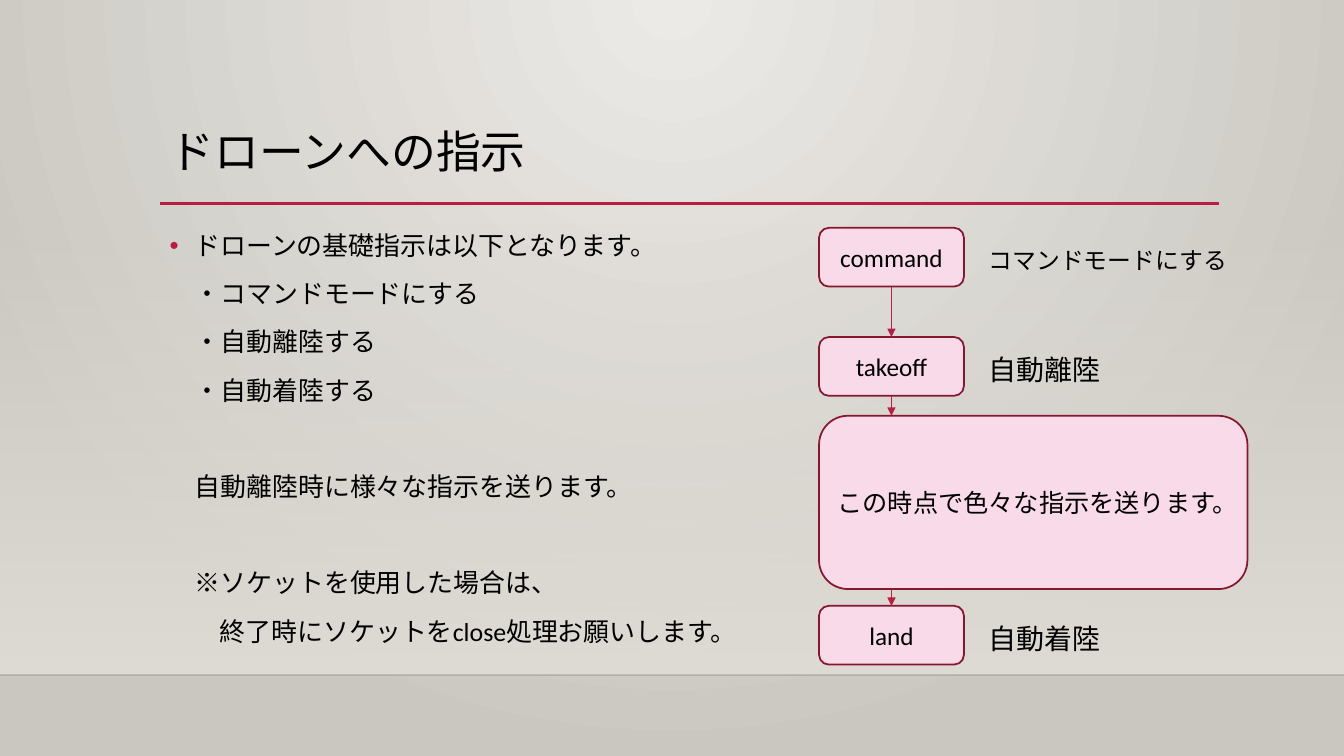
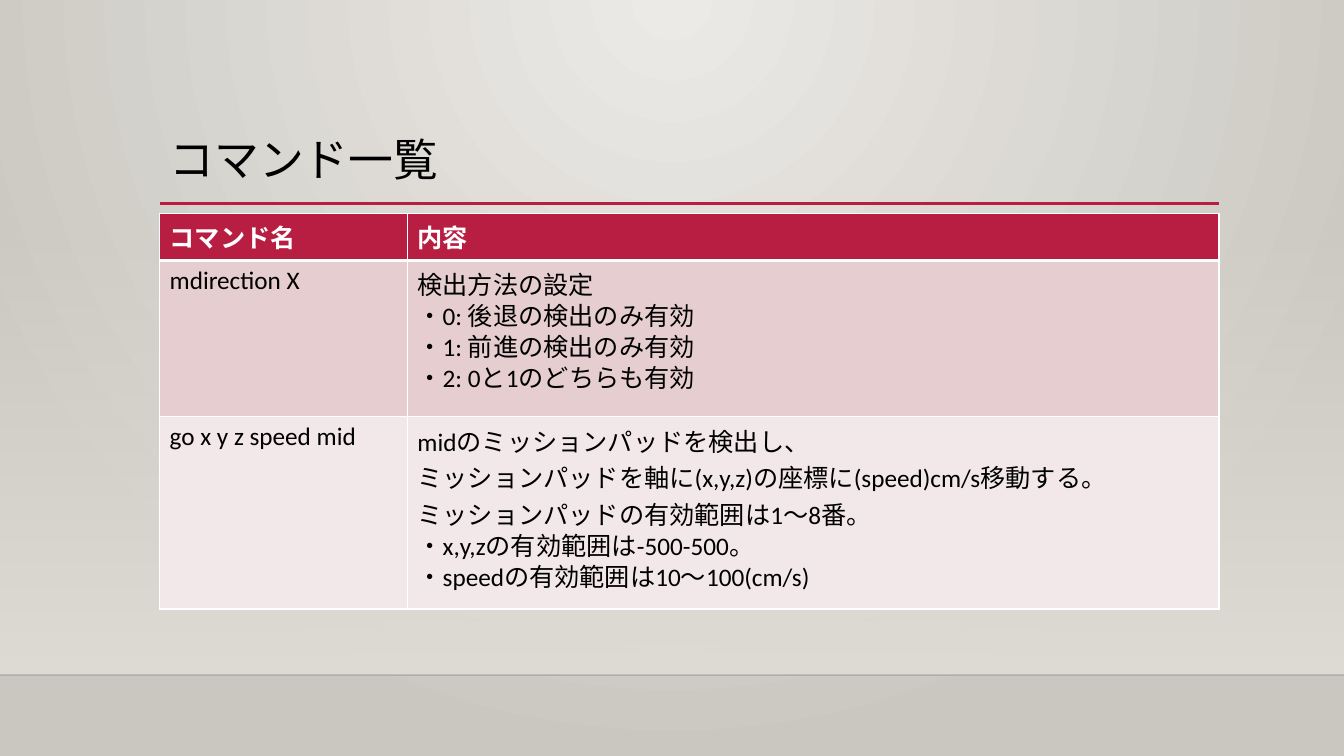
from itertools import pairwise

from lxml.etree import SubElement
from pptx import Presentation
from pptx.dml.color import RGBColor
from pptx.enum.shapes import MSO_CONNECTOR, MSO_SHAPE
from pptx.enum.text import MSO_ANCHOR, PP_ALIGN
from pptx.oxml.ns import qn
from pptx.util import Inches, Pt

FONT = "Calibri"
DOT = "・"
BLACK = RGBColor(0x00, 0x00, 0x00)
NEAR_BLACK = RGBColor(0x00, 0x00, 0x01)
WHITE = RGBColor(0xFF, 0xFF, 0xFF)
CRIMSON = RGBColor(0xB7, 0x1E, 0x42)
DARK_RED = RGBColor(0x87, 0x16, 0x31)
PINK = RGBColor(0xF8, 0xDA, 0xE8)
BG_CENTER = RGBColor(0xEC, 0xEA, 0xE7)
BG_EDGE = RGBColor(0xCA, 0xC7, 0xC1)
BAND = RGBColor(0xDF, 0xDB, 0xD5)
ROW_FILLS = [CRIMSON, RGBColor(0xE6, 0xCD, 0xCF), RGBColor(0xF3, 0xE8, 0xE9)]

prs = Presentation()
prs.slide_width = Inches(13.333)
prs.slide_height = Inches(7.5)

# Grid of 1280 columns by 720 rows
U = prs.slide_height // 720
LEFT, RIGHT = 152 * U, 1161 * U
RULE_Y, BAND_TOP, FLOOR = 194 * U, 212 * U, 643 * U


def add_text(p, text, size, color=BLACK, bold=False):
    """Add text to p; a leading dot is a run of its own, in the narrow Latin font."""
    parts = [DOT, text[1:]] if text.startswith(DOT) else [text]
    for part in parts:
        r = p.add_run()
        r.text = part
        r.font.name = FONT
        r.font.size = Pt(size)
        r.font.bold = bold
        r.font.color.rgb = color
        if part == DOT:
            SubElement(r.font._element, qn("a:ea"), typeface=FONT)


def add_line(s, x1, y1, x2, y2, color, width):
    """Draw a straight line and return its a:ln element."""
    ln = s.shapes.add_connector(MSO_CONNECTOR.STRAIGHT, x1, y1, x2, y2)
    ln.line.color.rgb = color
    ln.line.width = Pt(width)
    SubElement(ln.element.spPr, qn("a:effectLst"))
    return ln.element.spPr.find(qn("a:ln"))


# Shared background: radial glow from the top centre
master = prs.slide_master
fill = master.background.fill
fill.gradient()
for stop, color in zip(fill.gradient_stops, [BG_CENTER, BG_EDGE]):
    stop.color.rgb = color
grad = next(master.element.iter(qn("a:gradFill")))
grad.remove(grad.find(qn("a:lin")))
glow = SubElement(grad, qn("a:path"), {"path": "circle"})
SubElement(glow, qn("a:fillToRect"), l="43000", t="0", r="43000", b="100000")

# Shared frame: band, floor line, title and rule
slides = []
for title, top in [("ドローンへの指示", 119 * U), ("コマンド一覧", 126 * U)]:
    s = prs.slides.add_slide(prs.slide_layouts[6])
    slides.append(s)
    sp = s.shapes.add_shape(MSO_SHAPE.RECTANGLE, 0, BAND_TOP, prs.slide_width, FLOOR - BAND_TOP)
    sp.shadow.inherit = False
    sp.line.fill.background()
    sp.fill.gradient()
    sp.fill.gradient_angle = 270
    for stop in sp.fill.gradient_stops:
        stop.color.rgb = BAND
    SubElement(next(sp.element.spPr.iter(qn("a:srgbClr"))), qn("a:alpha"), val="0")

    ln = add_line(s, 0, FLOOR, prs.slide_width, FLOOR, NEAR_BLACK, 1)
    SubElement(next(ln.iter(qn("a:srgbClr"))), qn("a:alpha"), val="20000")
    add_line(s, LEFT, RULE_Y, RIGHT, RULE_Y, CRIMSON, 2.5)

    tf = s.shapes.add_textbox(LEFT, top, RIGHT - LEFT, RULE_Y - top).text_frame
    tf.word_wrap = True
    p = tf.paragraphs[0]
    p.line_spacing = 0.9
    add_text(p, title, 32)

drone, commands = slides

# Drone instructions: explanation, as (text, indent level, space before)
GAP, BREAK = 10, 44.4
body = [
    ("ドローンの基礎指示は以下となります。", 1, GAP),
    ("・コマンドモードにする", 1, GAP),
    ("・自動離陸する", 1, GAP),
    ("・自動着陸する", 1, GAP),
    ("自動離陸時に様々な指示を送ります。", 1, BREAK),
    ("※ソケットを使用した場合は、", 1, BREAK),
    ("終了時にソケットをclose処理お願いします。", 2, GAP),
]
tf = drone.shapes.add_textbox(LEFT, 211 * U, 600 * U, 418 * U).text_frame
tf.word_wrap = True
for i, (text, level, before) in enumerate(body):
    p = tf.add_paragraph() if i else tf.paragraphs[0]
    p.line_spacing = 1.1
    p.space_before = Pt(before)
    pPr = p._p.get_or_add_pPr()
    pPr.set("marL", str(level * Inches(0.25)))
    if i == 0:
        pPr.set("indent", str(-Inches(0.25)))
        SubElement(SubElement(pPr, qn("a:buClr")), qn("a:srgbClr"), val=str(CRIMSON))
        SubElement(pPr, qn("a:buFont"), typeface="Arial")
        SubElement(pPr, qn("a:buChar"), char="•")
    add_text(p, text, 18.5)

# Drone instructions: flow, as (text, top, width, height, alignment)
FLOW_X, STEP_W, STEP_H = 780 * U, 138 * U, 56 * U
steps = [
    ("command", 217 * U, STEP_W, STEP_H, PP_ALIGN.CENTER),
    ("takeoff", 321 * U, STEP_W, STEP_H, PP_ALIGN.CENTER),
    ("この時点で色々な指示を送ります。", 396 * U, 408 * U, 165 * U, PP_ALIGN.LEFT),
    ("land", 577 * U, STEP_W, STEP_H, PP_ALIGN.CENTER),
]
for text, top, width, height, align in steps:
    sp = drone.shapes.add_shape(MSO_SHAPE.ROUNDED_RECTANGLE, FLOW_X, top, width, height)
    sp.shadow.inherit = False
    sp.fill.solid()
    sp.fill.fore_color.rgb = PINK
    sp.line.color.rgb = DARK_RED
    sp.line.width = Pt(1.25)
    tf = sp.text_frame
    tf.vertical_anchor = MSO_ANCHOR.MIDDLE
    p = tf.paragraphs[0]
    p.alignment = align
    add_text(p, text, 18)

arrow_x = FLOW_X + STEP_W // 2
for (_, top, _, height, _), (_, next_top, *_) in pairwise(steps):
    ln = add_line(drone, arrow_x, top + height, arrow_x, next_top, CRIMSON, 0.75)
    SubElement(ln, qn("a:tailEnd"), type="triangle")

labels = [
    ("コマンドモードにする", 227 * U, 17, 1.1),
    ("自動離陸", 325 * U, 20, 1.2),
    ("自動着陸", 581 * U, 20, 1.2),
]
for text, top, size, spacing in labels:
    tf = drone.shapes.add_textbox(932 * U, top, 256 * U, 48 * U).text_frame
    tf.word_wrap = True
    p = tf.paragraphs[0]
    p.line_spacing = spacing
    p.space_before = Pt(10)
    add_text(p, text, size)

# Command list
rows = [
    (["コマンド名"], ["内容"]),
    (["mdirection X"], [
        "検出方法の設定",
        "・0: 後退の検出のみ有効",
        "・1: 前進の検出のみ有効",
        "・2: 0と1のどちらも有効",
    ]),
    (["go x y z speed mid"], [
        "midのミッションパッドを検出し、",
        "ミッションパッドを軸に(x,y,z)の座標に(speed)cm/s移動する。",
        "ミッションパッドの有効範囲は1～8番。",
        "・x,y,zの有効範囲は-500-500。",
        "・speedの有効範囲は10～100(cm/s)",
    ]),
]
heights = [45 * U, 149 * U, 183 * U]
widths = [236 * U, RIGHT - LEFT - 236 * U]
table = commands.shapes.add_table(3, 2, LEFT, 203 * U, sum(widths), sum(heights)).table
for col, width in zip(table.columns, widths):
    col.width = width
for i, (row, height) in enumerate(zip(rows, heights)):
    table.rows[i].height = height
    head = i == 0
    for j, lines in enumerate(row):
        cell = table.cell(i, j)
        tcPr = cell._tc.get_or_add_tcPr()
        borders = {"lnL": 1, "lnR": 1, "lnT": 3 if i == 1 else 1, "lnB": 3 if head else 1}
        for side, width in borders.items():
            ln = SubElement(tcPr, qn("a:" + side), w=str(Pt(width)))
            SubElement(SubElement(ln, qn("a:solidFill")), qn("a:srgbClr"), val=str(WHITE))
        cell.fill.solid()
        cell.fill.fore_color.rgb = ROW_FILLS[i]
        tf = cell.text_frame
        for k, text in enumerate(lines):
            p = tf.add_paragraph() if k else tf.paragraphs[0]
            add_text(p, text, 18, WHITE if head else BLACK, head)

prs.save("out.pptx")
